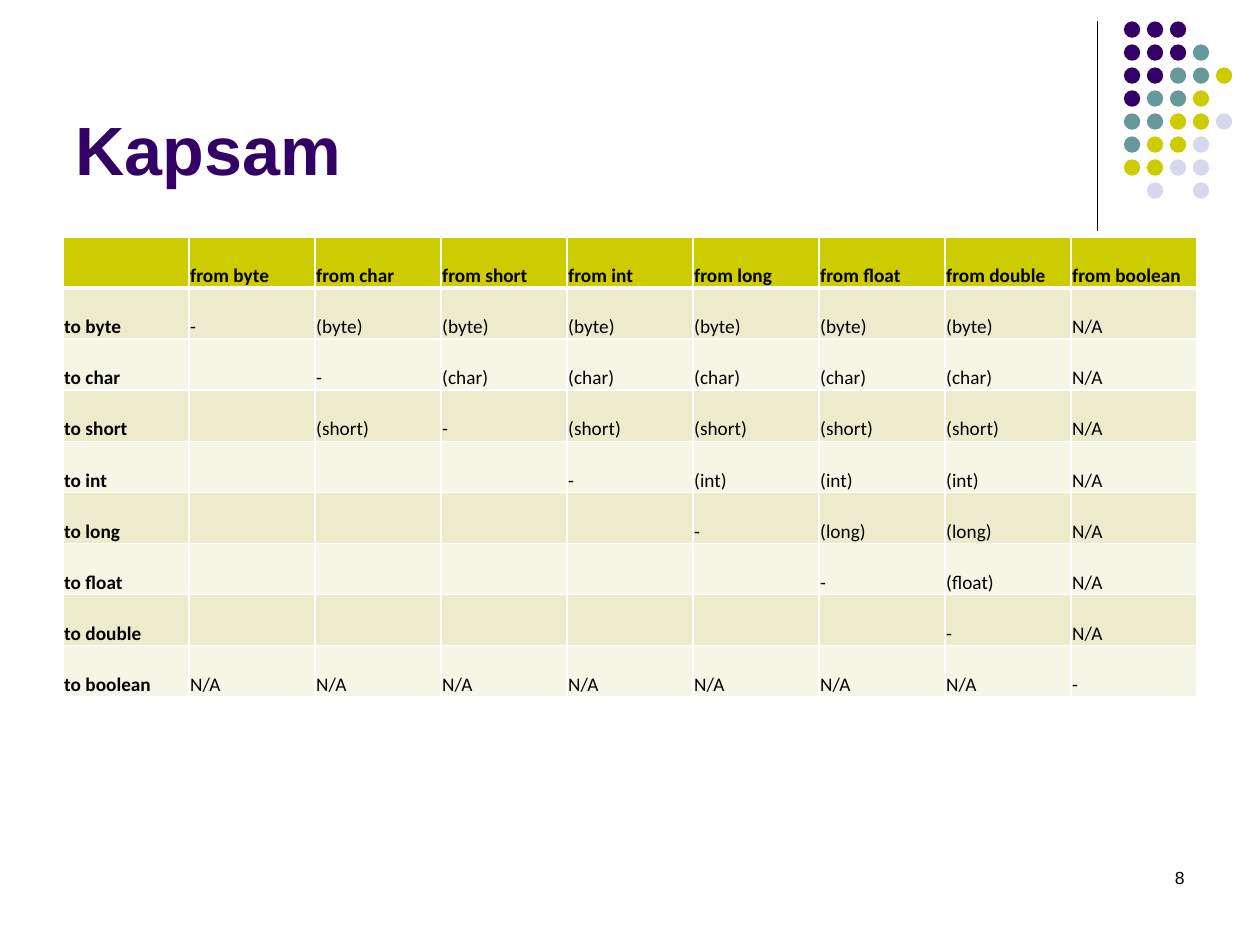
from lxml.etree import SubElement
from pptx import Presentation
from pptx.dml.color import RGBColor
from pptx.enum.shapes import MSO_CONNECTOR, MSO_SHAPE
from pptx.enum.text import MSO_ANCHOR, PP_ALIGN
from pptx.oxml.ns import qn
from pptx.util import Inches, Pt


def paint(code):
    return RGBColor.from_string(code)


class Deck:
    """Holds the style and the current slide, and draws each kind of element."""

    ink, white, head = "000000", "FFFFFF", "CCCC00"
    bands = "ECECCC", "F6F6E7"
    font, cell_font = "Arial", "Calibri"

    def __init__(self, show):
        self.slide = show.slides.add_slide(show.slide_layouts[6])
        self.shapes = self.slide.shapes

    def run(self, para, text, size, font, color=ink, bold=False):
        run = para.add_run()
        run.text = text
        run.font.size = Pt(size)
        run.font.name = font
        run.font.bold = bold
        run.font.color.rgb = paint(color)

    def text(self, box, text, size, color=ink, bold=False,
             align=PP_ALIGN.LEFT, anchor=MSO_ANCHOR.TOP):
        frame = self.shapes.add_textbox(*map(Inches, box)).text_frame
        frame.word_wrap = True
        frame.vertical_anchor = anchor
        para = frame.paragraphs[0]
        para.alignment = align
        self.run(para, text, size, self.font, color, bold)

    def line(self, start, end, width):
        ends = map(Inches, (*start, *end))
        line = self.shapes.add_connector(MSO_CONNECTOR.STRAIGHT, *ends)
        line.line.color.rgb = paint(self.ink)
        line.line.width = Pt(width)
        SubElement(line._element.spPr, qn("a:effectLst"))

    def dot(self, left, top, size, color):
        box = map(Inches, (left, top, size, size))
        dot = self.shapes.add_shape(MSO_SHAPE.OVAL, *box)
        dot.shadow.inherit = False
        dot.fill.solid()
        dot.fill.fore_color.rgb = paint(color)
        dot.line.fill.background()

    def edge(self, cell, side, width):
        props = cell._tc.get_or_add_tcPr()
        line = SubElement(props, qn("a:ln" + side), w=str(Pt(width)))
        fill = SubElement(line, qn("a:solidFill"))
        SubElement(fill, qn("a:srgbClr"), val=self.white)

    def cell(self, cell, text, row, col):
        cell.margin_left = cell.margin_right = cell.margin_top = Inches(0.01)
        cell.margin_bottom = 0
        cell.vertical_anchor = MSO_ANCHOR.BOTTOM
        widths = {"L": 1, "R": 1, "T": 3 if row == 1 else 1, "B": 1 if row else 3}
        for side, width in widths.items():
            self.edge(cell, side, width)
        cell.fill.solid()
        cell.fill.fore_color.rgb = paint(self.bands[(row - 1) % 2] if row else self.head)
        if text:
            bold = row == 0 or col == 0
            self.run(cell.text_frame.paragraphs[0], text, 11, self.cell_font, bold=bold)

    def table(self, box, rows):
        size = len(rows), len(rows[0])
        table = self.shapes.add_table(*size, *map(Inches, box)).table
        for row, texts in enumerate(rows):
            for col, text in enumerate(texts):
                self.cell(table.cell(row, col), text, row, col)


def cast(to, source):
    if to == source:
        return "-"
    if "boolean" in (to, source):
        return "N/A"
    wider = kinds.index(source) > kinds.index(to)
    return f"({to})" if wider or (to, source) == ("short", "char") else ""


kinds = ["byte", "char", "short", "int", "long", "float", "double", "boolean"]
grid = [[""] + [f"from {kind}" for kind in kinds]]
grid += [[f"to {to}"] + [cast(to, kind) for kind in kinds] for to in kinds]

dots = ["PPP", "PPPT", "PPTTY", "PTTY", "TTYYL", "TYYL", "YYLL", " L L"]
hues = {"P": "330066", "T": "669999", "Y": "CCCC00", "L": "D8D8EC"}
step = 0.73 / 4

show = Presentation()
show.slide_width, show.slide_height = Inches(10), Inches(7.5)
deck = Deck(show)
deck.line((8.71, 0.17), (8.71, 1.83), 0.75)
for row, marks in enumerate(dots):
    for col, mark in enumerate(marks):
        if mark in hues:
            deck.dot(8.92 + col * step, 0.17 + row * step, 0.13, hues[mark])
deck.text((0.5, 0.13, 8.25, 1.42), "Kapsam", 39, hues["P"], True,
          anchor=MSO_ANCHOR.BOTTOM)
deck.table((0.5, 1.88, 9, 3.65), grid)
deck.text((7.17, 6.83, 2.33, 0.5), "8", 10, align=PP_ALIGN.RIGHT)
show.save("out.pptx")
